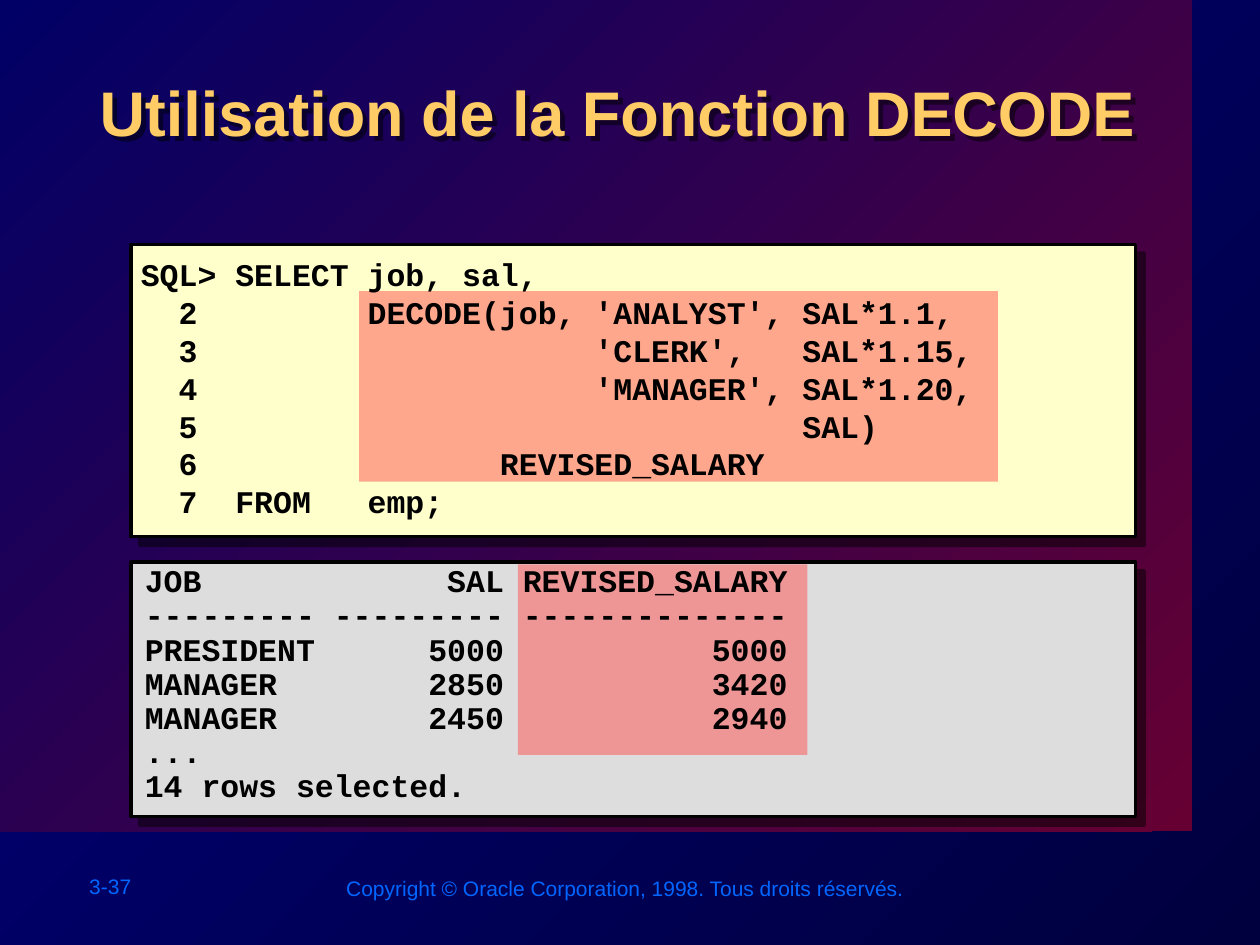
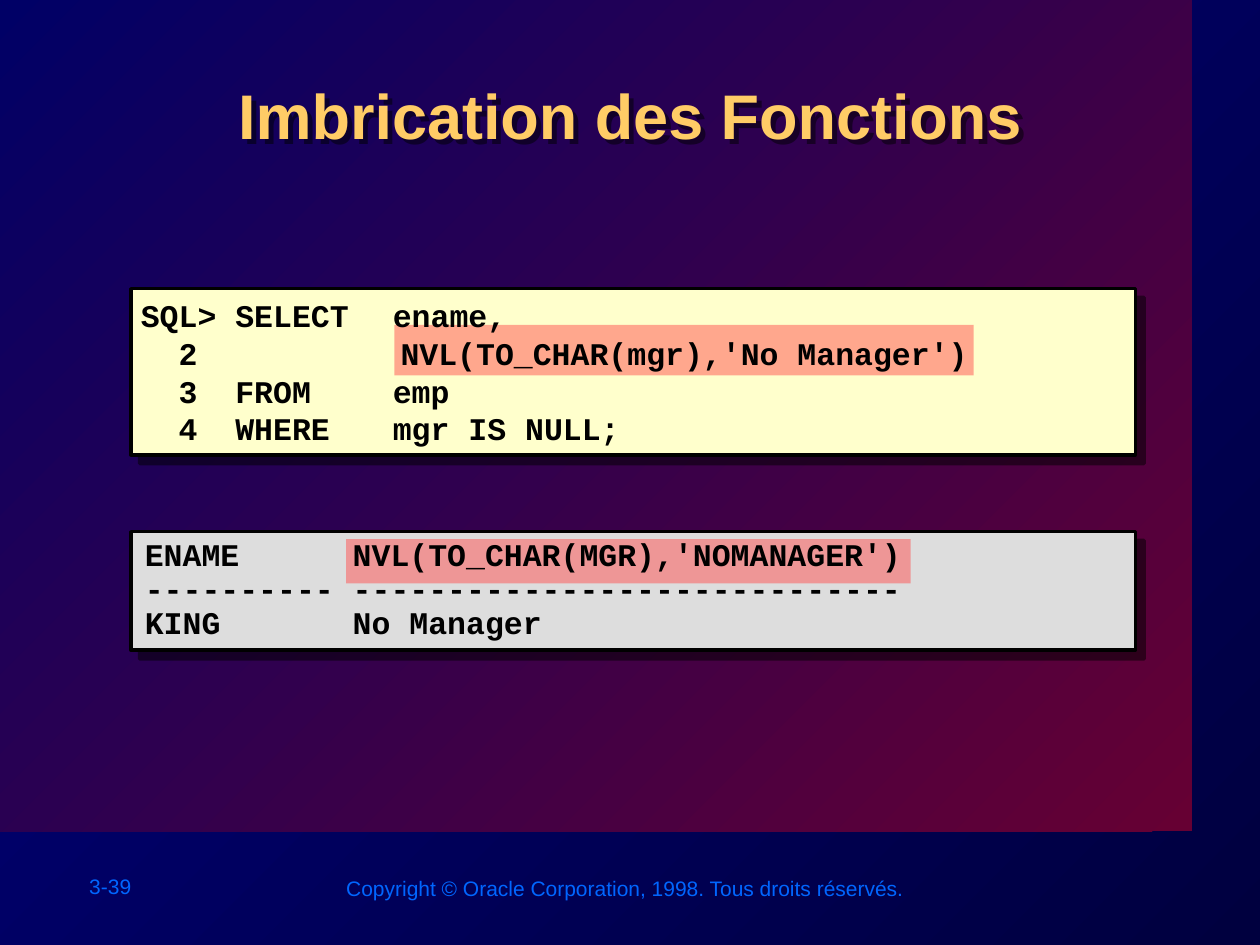
from typing import NamedTuple

from lxml import etree
from pptx import Presentation
from pptx.dml.color import RGBColor
from pptx.enum.shapes import MSO_SHAPE
from pptx.enum.text import MSO_ANCHOR, PP_ALIGN
from pptx.oxml.ns import qn
from pptx.util import Cm, Pt

RECT = MSO_SHAPE.RECTANGLE
TOP, MIDDLE = MSO_ANCHOR.TOP, MSO_ANCHOR.MIDDLE
LEFT, CENTER = PP_ALIGN.LEFT, PP_ALIGN.CENTER

NAVY = RGBColor(0x00, 0x00, 0x3F)
BLUE = RGBColor(0x00, 0x00, 0x80)
WINE = RGBColor(0x66, 0x00, 0x33)
INDIGO = RGBColor(0x00, 0x00, 0x66)
AZURE = RGBColor(0x00, 0x66, 0xFF)
GOLD = RGBColor(0xFF, 0xCC, 0x66)
CREAM = RGBColor(0xFF, 0xFF, 0xCC)
GREY = RGBColor(0xDD, 0xDD, 0xDD)
RED = RGBColor(0xFF, 0x50, 0x50)
BLACK = RGBColor(0x00, 0x00, 0x00)

SANS, MONO = "Arial", "Courier New"
TABS = (3.33, 5.08)
RIGHTS = "Copyright © Oracle Corporation, 1998. Tous droits réservés."


class Box(NamedTuple):
    """A place on the slide, in centimetres."""
    left: float
    top: float
    width: float
    height: float

    def cm(self):
        """Return the four lengths."""
        return [Cm(value) for value in self]


class Panel(NamedTuple):
    """A framed listing with one marked area."""
    frame: Box
    mark: Box
    area: Box
    text: str


class Page(NamedTuple):
    """The content of one slide."""
    number: str
    title: str
    head: Box
    query: Panel
    result: Panel


PAGES = (
    Page(
        "3-37", "Utilisation de la Fonction DECODE", Box(1.63, 1.35, 21.64, 2.44),
        Panel(Box(2.64, 4.93, 20.25, 5.89), Box(7.24, 5.87, 12.88, 3.84),
              Box(2.59, 4.83, 20.32, 5.97), """\
SQL> SELECT job, sal,
  2         DECODE(job, 'ANALYST', SAL*1.1,
  3                     'CLERK',   SAL*1.15,
  4                     'MANAGER', SAL*1.20,
  5                                SAL)
  6                REVISED_SALARY
  7  FROM   emp;"""),
        Panel(Box(2.64, 11.33, 20.25, 5.13), Box(10.44, 11.38, 5.84, 3.84),
              Box(2.67, 11.28, 20.19, 5.05), """\
JOB             SAL REVISED_SALARY
--------- --------- --------------
PRESIDENT      5000           5000
MANAGER        2850           3420
MANAGER        2450           2940
...
14 rows selected."""),
    ),
    Page(
        "3-39", "Imbrication des Fonctions", Box(2.57, 1.42, 20.27, 2.44),
        Panel(Box(2.64, 5.82, 20.25, 3.35), Box(7.95, 6.55, 11.68, 1.02),
              Box(2.59, 5.46, 20.32, 4.06), """\
SQL> SELECT\tename,
  2\t     NVL(TO_CHAR(mgr),'No Manager')
  3  FROM\temp
  4  WHERE\tmgr IS NULL;"""),
        Panel(Box(2.64, 10.72, 20.25, 2.39), Box(6.98, 10.87, 11.38, 0.89),
              Box(2.67, 10.74, 20.19, 2.31), """\
ENAME      NVL(TO_CHAR(MGR),'NOMANAGER')
---------- -----------------------------
KING       No Manager"""),
    ),
)


def blend(fill, first: RGBColor, last: RGBColor) -> None:
    """Fill with a gradient rising from the lower right corner."""
    fill.gradient()
    fill.gradient_angle = 135
    for stop, color in zip(fill.gradient_stops, (first, last)):
        stop.color.rgb = color


def fade(color) -> None:
    """Make a colour element half transparent."""
    etree.SubElement(color, qn("a:alpha"), val="50000")


def shade(shape, size: float) -> None:
    """Cast a black shadow to the lower right."""
    shape.shadow.inherit = False
    effect = shape._element.spPr.find(qn("a:effectLst"))
    outer = etree.SubElement(effect, qn("a:outerShdw"), blurRad="0",
                             dist=str(Pt(size)), dir="2700000",
                             algn="ctr", rotWithShape="0")
    fade(etree.SubElement(outer, qn("a:srgbClr"), val=str(BLACK)))


def block(slide, box: Box):
    """Add a plain rectangle without line or shadow."""
    shape = slide.shapes.add_shape(RECT, *box.cm())
    shape.shadow.inherit = False
    shape.line.fill.background()
    return shape


def frame(slide, box: Box, color: RGBColor) -> None:
    """Add an outlined panel with a shadow."""
    shape = block(slide, box)
    shape.fill.solid()
    shape.fill.fore_color.rgb = color
    shape.line.color.rgb = BLACK
    shape.line.width = Pt(2)
    shade(shape, 7.1)


def mark(slide, box: Box) -> None:
    """Add a see-through highlight."""
    shape = block(slide, box)
    shape.fill.solid()
    shape.fill.fore_color.rgb = RED
    fade(shape._element.spPr.find(".//" + qn("a:srgbClr")))


def write(slide, text: str, box: Box, *, font=SANS, size=12, color=AZURE,
          bold=False, align=LEFT, anchor=TOP, space=1.0, tabs=()):
    """Add a text box with one paragraph a line."""
    shape = slide.shapes.add_textbox(*box.cm())
    body = shape.text_frame
    body.word_wrap = True
    body.vertical_anchor = anchor
    for index, line in enumerate(text.split("\n")):
        para = body.add_paragraph() if index else body.paragraphs[0]
        para.alignment = align
        para.line_spacing = space
        if tabs:
            stops = etree.SubElement(para._p.get_or_add_pPr(), qn("a:tabLst"))
            for tab in tabs:
                etree.SubElement(stops, qn("a:tab"), pos=str(Cm(tab)), algn="l")
        run = para.add_run()
        run.text = line
        run.font.name = font
        run.font.size = Pt(size)
        run.font.bold = bold
        run.font.color.rgb = color
    return shape


def code(slide, panel: Panel, **style) -> None:
    """Write the listing of a panel."""
    write(slide, panel.text, panel.area, font=MONO, size=18, color=BLACK,
          bold=True, tabs=TABS, **style)


def base(slide, number: str) -> None:
    """Draw the background, band and footer."""
    blend(slide.background.fill, NAVY, BLUE)
    blend(block(slide, Box(0, 0, 24.03, 16.76)).fill, WINE, INDIGO)
    write(slide, number, Box(1.55, 17.48, 2.82, 0.76))
    write(slide, RIGHTS, Box(6.73, 17.53, 11.84, 0.76))


def draw(slide, page: Page) -> None:
    """Draw one slide."""
    base(slide, page.number)
    frame(slide, page.query.frame, CREAM)
    frame(slide, page.result.frame, GREY)
    title = write(slide, page.title, page.head, size=36, color=GOLD,
                  bold=True, align=CENTER)
    shade(title, 4)
    mark(slide, page.query.mark)
    mark(slide, page.result.mark)
    code(slide, page.query, anchor=MIDDLE)
    code(slide, page.result, space=0.9)


def main() -> None:
    """Build the slides and save them."""
    deck = Presentation()
    deck.slide_width, deck.slide_height = Cm(25.4), Cm(19.05)
    for page in PAGES:
        draw(deck.slides.add_slide(deck.slide_layouts[6]), page)
    deck.save("out.pptx")


if __name__ == "__main__":
    main()
